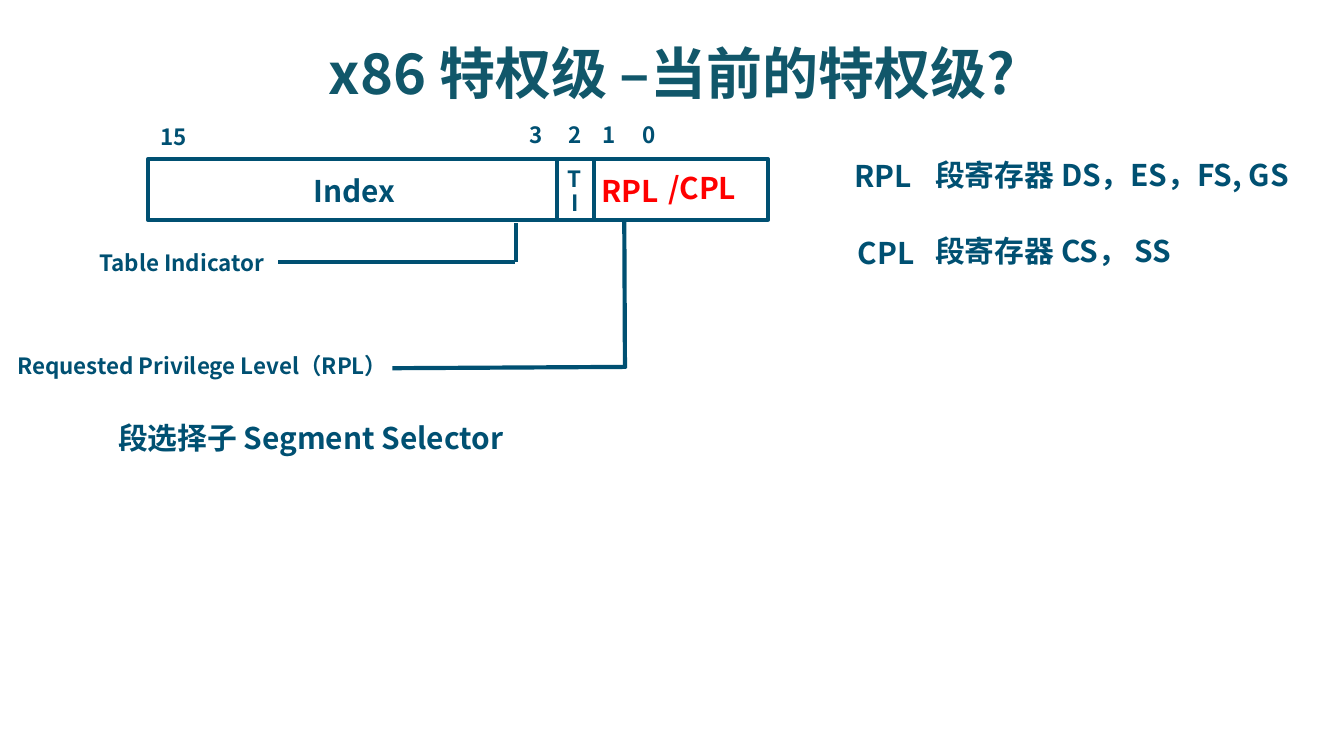
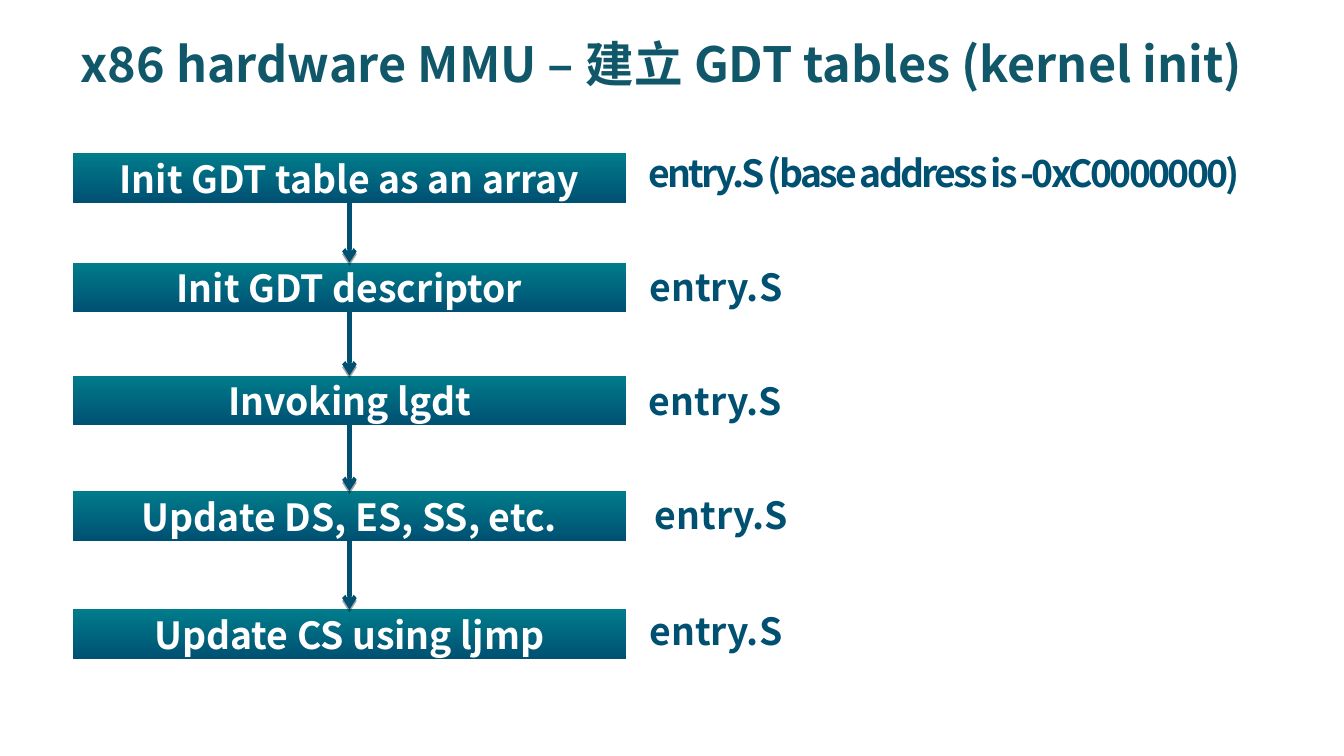
import dataclasses

import pptx
import pptx.dml.color
import pptx.enum.shapes
import pptx.enum.text
import pptx.oxml.ns
import pptx.util
from lxml import etree

COLUMNS, ROWS = 100, 56.25
CELL = pptx.util.Inches(0.1)
ALIGN = pptx.enum.text.PP_ALIGN
ANCHOR = pptx.enum.text.MSO_ANCHOR
SHAPE = pptx.enum.shapes.MSO_SHAPE


@dataclasses.dataclass(frozen=True)
class Theme:
    font: str = "Noto Sans CJK SC"
    title: str = "11576A"
    ink: str = "005072"
    teal: str = "007C8B"
    alert: str = "FF0000"
    white: str = "FFFFFF"
    shadow: str = "000000"
    small: float = 12
    body: float = 16
    step: float = 20
    long_title: float = 26
    short_title: float = 30
    line: float = 2.25


THEME = Theme()


def rgb(value):
    return pptx.dml.color.RGBColor.from_string(value)


def grid(*cells):
    return [round(cell * CELL) for cell in cells]


def add_child(parent, tag, **attributes):
    return etree.SubElement(parent, pptx.oxml.ns.qn(tag), attributes)


def write(box, text, size=THEME.body, color=THEME.ink, align=ALIGN.LEFT,
          anchor=ANCHOR.TOP, line_spacing=None, tracking=None):
    frame = box.text_frame
    frame.word_wrap = True
    frame.auto_size = pptx.enum.text.MSO_AUTO_SIZE.NONE
    frame.vertical_anchor = anchor
    para = frame.paragraphs[0]
    para.alignment = align
    if line_spacing:
        para.line_spacing = line_spacing
    span = para.add_run()
    span.text = text
    span.font.name = THEME.font
    span.font.size = pptx.util.Pt(size)
    span.font.bold = True
    span.font.color.rgb = rgb(color)
    properties = span.font._element
    add_child(properties, "a:ea", typeface=THEME.font)
    if tracking:
        properties.set("spc", str(round(tracking * 100)))


def add_label(page, text, place, **style):
    write(page.shapes.add_textbox(*grid(*place)), text, **style)


def add_page(deck, title, place, **style):
    page = deck.slides.add_slide(deck.slide_layouts.get_by_name("Title Only"))
    box = page.shapes.title
    box.left, box.top, box.width, box.height = grid(*place)
    write(box, title, color=THEME.title, **style)
    return page


def add_line(page, start, end, arrow=False):
    """Draw a line; an arrow also gets a head and a soft drop shadow."""
    line = page.shapes.add_connector(
        pptx.enum.shapes.MSO_CONNECTOR.STRAIGHT, *grid(*start, *end))
    line.line.color.rgb = rgb(THEME.ink)
    line.line.width = pptx.util.Pt(THEME.line)
    properties = line._element.spPr
    effects = add_child(properties, "a:effectLst")
    if arrow:
        add_child(properties.find(pptx.oxml.ns.qn("a:ln")), "a:tailEnd", type="arrow")
        shadow = add_child(effects, "a:outerShdw", blurRad="0", dir="5400000",
                           dist=str(pptx.util.Pt(1.6)), rotWithShape="0")
        color = add_child(shadow, "a:srgbClr", val=THEME.shadow)
        add_child(color, "a:alpha", val="36000")


def add_register_outline(page, place):
    outline = page.shapes.add_shape(SHAPE.RECTANGLE, *grid(*place))
    outline.shadow.inherit = False
    outline.fill.background()
    outline.line.color.rgb = rgb(THEME.ink)
    outline.line.width = pptx.util.Pt(THEME.line)


def add_step(page, text, place):
    box = page.shapes.add_shape(SHAPE.FLOWCHART_PROCESS, *grid(*place))
    box.shadow.inherit = False
    box.line.fill.background()
    box.fill.gradient()
    box.fill.gradient_angle = 270
    for stop, color in zip(box.fill.gradient_stops, (THEME.teal, THEME.ink)):
        stop.color.rgb = rgb(color)
    write(box, text, size=THEME.step, color=THEME.white,
          align=ALIGN.CENTER, anchor=ANCHOR.MIDDLE)


def build_privilege_page(deck):
    page = add_page(deck, "x86 特权级 –当前的特权级?", (0, 2.35, COLUMNS, 6.1),
                    size=THEME.short_title, align=ALIGN.CENTER)
    add_register_outline(page, (11, 11.85, 46.15, 4.5))

    for text, place in (
        ("RPL", (62.6, 11.25, 7.1, 3.7)),
        ("段寄存器 DS，ES，FS, GS", (68.6, 11.15, 29.6, 3.7)),
        ("CPL", (62.85, 17, 7.1, 3.7)),
        ("段寄存器 CS， SS", (68.6, 16.8, 22.5, 3.7)),
        ("Index", (22.35, 12.35, 13.9, 5.4)),
        ("段选择子 Segment Selector", (7.8, 30.75, 36.5, 3.7)),
    ):
        add_label(page, text, place)

    for text, place in (
        ("T", (41.25, 11.8, 3.2, 3)),
        ("I", (41.55, 13.6, 3.2, 3)),
        ("Table Indicator", (6.4, 18.05, 17, 3)),
        ("Requested Privilege Level（RPL）", (0.3, 25.7, 54.7, 4.4)),
        ("15", (10.95, 8.7, 4.9, 5)),
    ):
        add_label(page, text, place, size=THEME.small)

    for bit, left in zip("3210", (38.4, 41.3, 43.85, 46.85)):
        add_label(page, bit, (left, 8.5, 2.9, 3), size=THEME.small)

    for text, place in (("RPL", (43.75, 12.35, 7.1, 3.7)),
                        ("/CPL", (48.75, 12.15, 7.6, 3.7))):
        add_label(page, text, place, color=THEME.alert)

    field_dividers = (((41.45, 11.75), (41.45, 16.3)), ((44.2, 11.9), (44.2, 16.4)))
    indicator_leader = (((38.4, 16.6), (38.4, 19.5)), ((38.3, 19.5), (20.7, 19.5)))
    level_leader = (((46.45, 16.3), (46.5, 27.4)), ((46.6, 27.3), (29.2, 27.4)))
    for start, end in field_dividers + indicator_leader + level_leader:
        add_line(page, start, end)


def build_gdt_page(deck):
    page = add_page(deck, "x86 hardware MMU – 建立 GDT tables (kernel init)",
                    (5, 2.35, 92.9, 5.2), size=THEME.long_title, line_spacing=0.95)
    left, width, height = 5.4, 41.2, 3.7
    center = left + width / 2
    source = "entry.S"
    steps = (
        # step, its top row, source file, left column and top row of the file
        ("Init GDT table as an array", 11.4,
         "entry.S (base address is -0xC0000000)", 47.3, 10.7),
        ("Init GDT descriptor", 19.55, source, 47.35, 19.15),
        ("Invoking lgdt", 27.95, source, 47.3, 27.65),
        ("Update DS, ES, SS, etc.", 36.55, source, 47.75, 36.15),
        ("Update CS using ljmp", 45.35, source, 47.35, 44.8),
    )
    for text, top, file, file_left, file_top in steps:
        add_step(page, text, (left, top, width, height))
        is_long = file != source
        add_label(page, file, (file_left, file_top, 52 if is_long else 16.4, 4.4),
                  size=THEME.step, tracking=-1.5 if is_long else None)
    for upper, lower in zip(steps, steps[1:]):
        add_line(page, (center, upper[1] + height), (center, lower[1]), arrow=True)


def main():
    deck = pptx.Presentation()
    deck.slide_width, deck.slide_height = grid(COLUMNS, ROWS)
    build_privilege_page(deck)
    build_gdt_page(deck)
    deck.save("out.pptx")


if __name__ == "__main__":
    main()
